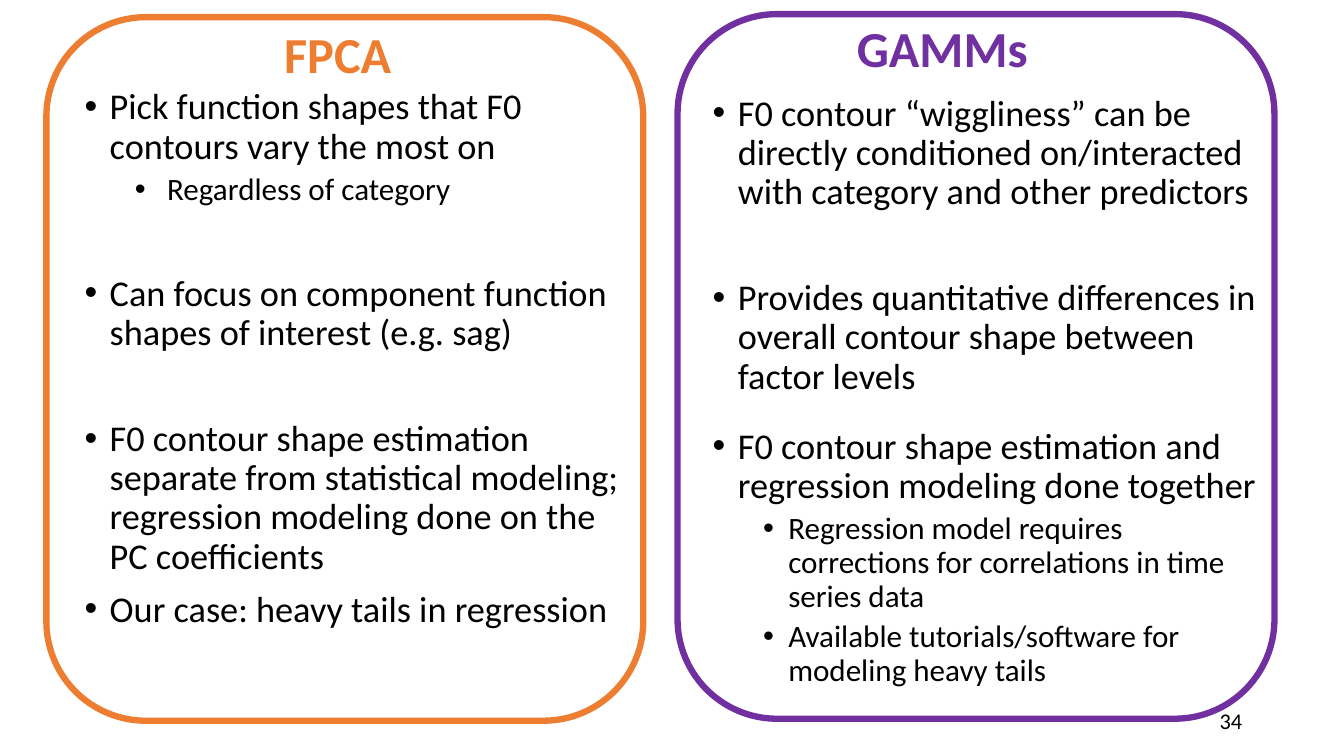
import pptx
import pptx.chart
import pptx.dml.color
import pptx.enum.shapes
import pptx.enum.text
import pptx.oxml
import pptx.oxml.ns
import pptx.util
from pptx.util import Inches

ALIGN = pptx.enum.text.PP_ALIGN
ANCHOR = pptx.enum.text.MSO_ANCHOR
BLACK, ORANGE, PURPLE = "000000", "ED7D31", "7030A0"
SIZES = (25.9, 22.2)

FPCA = [
    (0, 0, "Pick function shapes that F0 contours vary the most on"),
    (1, 5, " Regardless of category"),
    (0, 48, "Can focus on component function shapes of interest (e.g. sag)"),
    (0, 48, "F0 contour shape estimation separate from statistical modeling; "
            "regression modeling done on the PC coefficients"),
    (0, 10, "Our case: heavy tails in regression"),
]
GAMMS = [
    (0, 0, "F0 contour “wiggliness” can be directly conditioned on/interacted "
           "with category and other predictors"),
    (0, 48, "Provides quantitative differences in overall contour shape "
            "between factor levels"),
    (0, 22, "F0 contour shape estimation and regression modeling done together"),
    (1, 5, "Regression model requires corrections for correlations in time "
           "series data"),
    (1, 5, "Available tutorials/software for modeling heavy tails"),
]


def color(code):
    return pptx.dml.color.RGBColor.from_string(code)


def add_box(slide, place, anchor=ANCHOR.TOP):
    frame = slide.shapes.add_textbox(*map(Inches, place)).text_frame
    frame.word_wrap = True
    frame.vertical_anchor = anchor
    return frame


def add_run(para, text, size, code=BLACK, bold=False):
    run = para.add_run()
    run.text = text
    run.font.name = "Calibri"
    run.font.size = pptx.util.Pt(size)
    run.font.bold = bold
    run.font.color.rgb = color(code)


def set_bullet(para, level):
    props = para._p.get_or_add_pPr()
    props.set("marL", str(Inches(0.25 + 0.5 * level)))
    props.set("indent", str(Inches(-0.25)))
    for tag, key, value in (("buFont", "typeface", "Arial"), ("buChar", "char", "•")):
        mark = pptx.oxml.parse_xml(f"<a:{tag} {pptx.oxml.ns.nsdecls('a')}/>")
        mark.set(key, value)
        props.append(mark)


def add_title(slide, place, text, code):
    para = add_box(slide, place, ANCHOR.BOTTOM).paragraphs[0]
    para.line_spacing = 0.9
    add_run(para, text, 36, code, True)


def add_list(slide, place, items):
    frame = add_box(slide, place)
    for index, (level, gap, text) in enumerate(items):
        para = frame.add_paragraph() if index else frame.paragraphs[0]
        para.level = level
        set_bullet(para, level)
        para.line_spacing = 0.9
        para.space_before = pptx.util.Pt(gap)
        add_run(para, text, SIZES[level])


def add_frame(slide, place, code):
    kind = pptx.enum.shapes.MSO_SHAPE.ROUNDED_RECTANGLE
    shape = slide.shapes.add_shape(kind, *map(Inches, place))
    shape.shadow.inherit = False
    shape.fill.background()
    shape.line.color.rgb = color(code)
    shape.line.width = pptx.util.Pt(4.5)


def add_number(slide, place, text):
    para = add_box(slide, place, ANCHOR.MIDDLE).paragraphs[0]
    para.alignment = ALIGN.RIGHT
    add_run(para, text, 16)


def main():
    deck = pptx.Presentation()
    deck.slide_width, deck.slide_height = Inches(13.33), Inches(7.5)
    slide = deck.slides.add_slide(deck.slide_layouts[6])
    add_title(slide, (2.72, 0, 1.4, 0.89), "FPCA", ORANGE)
    add_list(slide, (0.74, 0.83, 5.64, 6.22), FPCA)
    add_title(slide, (8.4, 0.24, 2.01, 0.59), "GAMMs", PURPLE)
    add_list(slide, (6.97, 0.89, 5.67, 6.38), GAMMS)
    add_number(slide, (9.42, 6.95, 3, 0.4), "34")
    add_frame(slide, (0.46, 0.17, 5.92, 6.98), ORANGE)
    add_frame(slide, (6.72, 0.14, 5.92, 6.99), PURPLE)
    deck.save("out.pptx")


if __name__ == "__main__":
    main()
